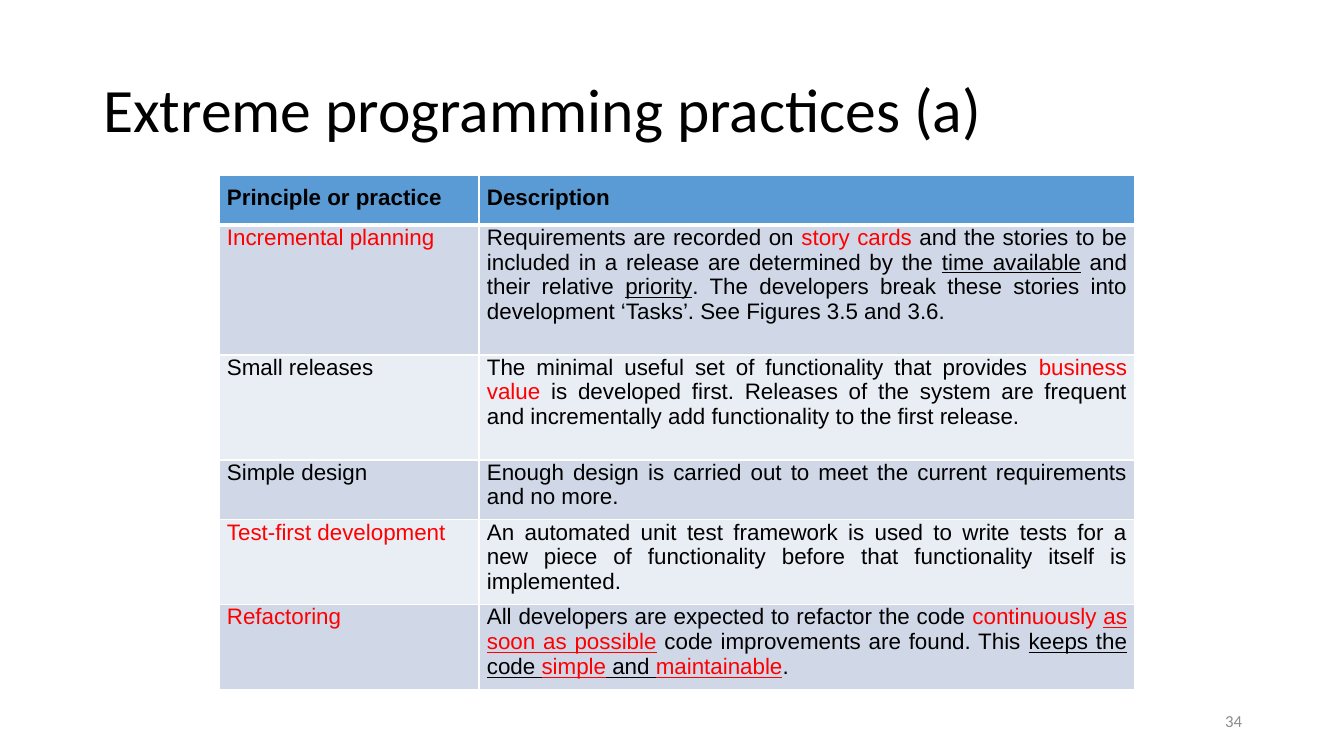
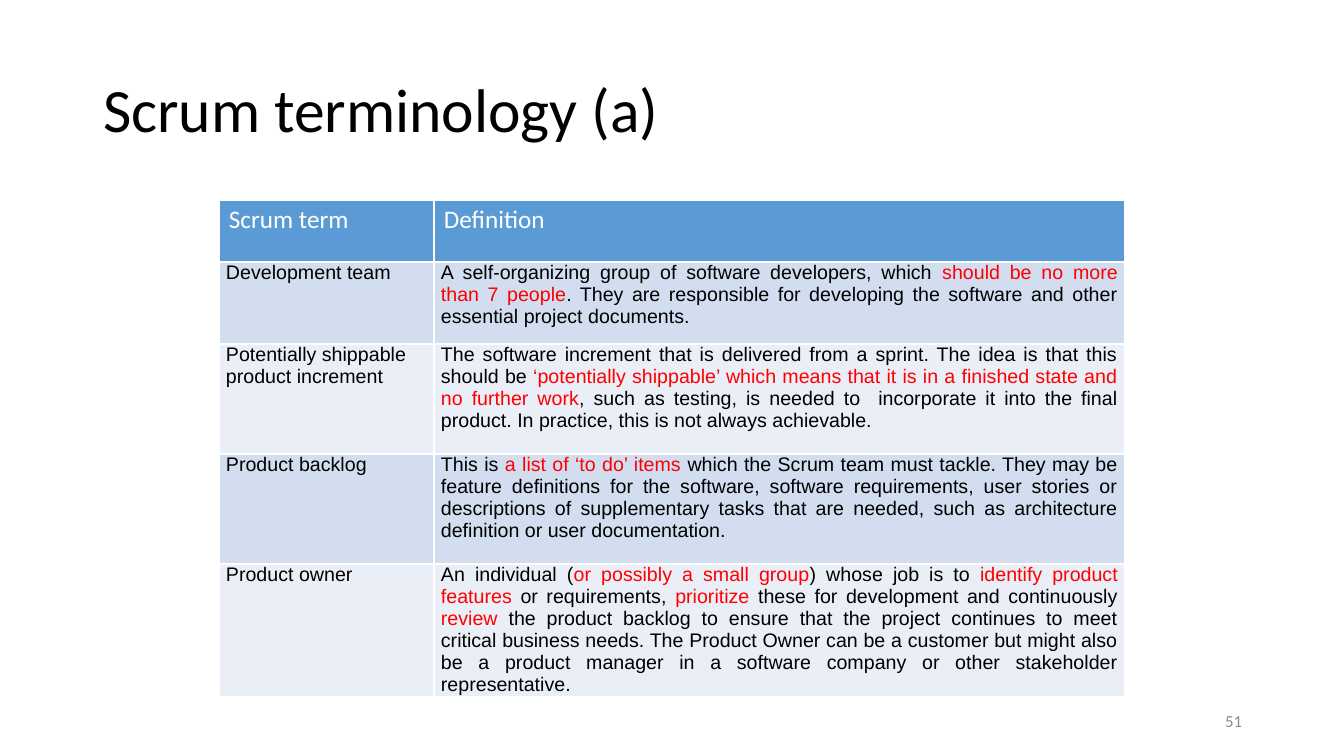
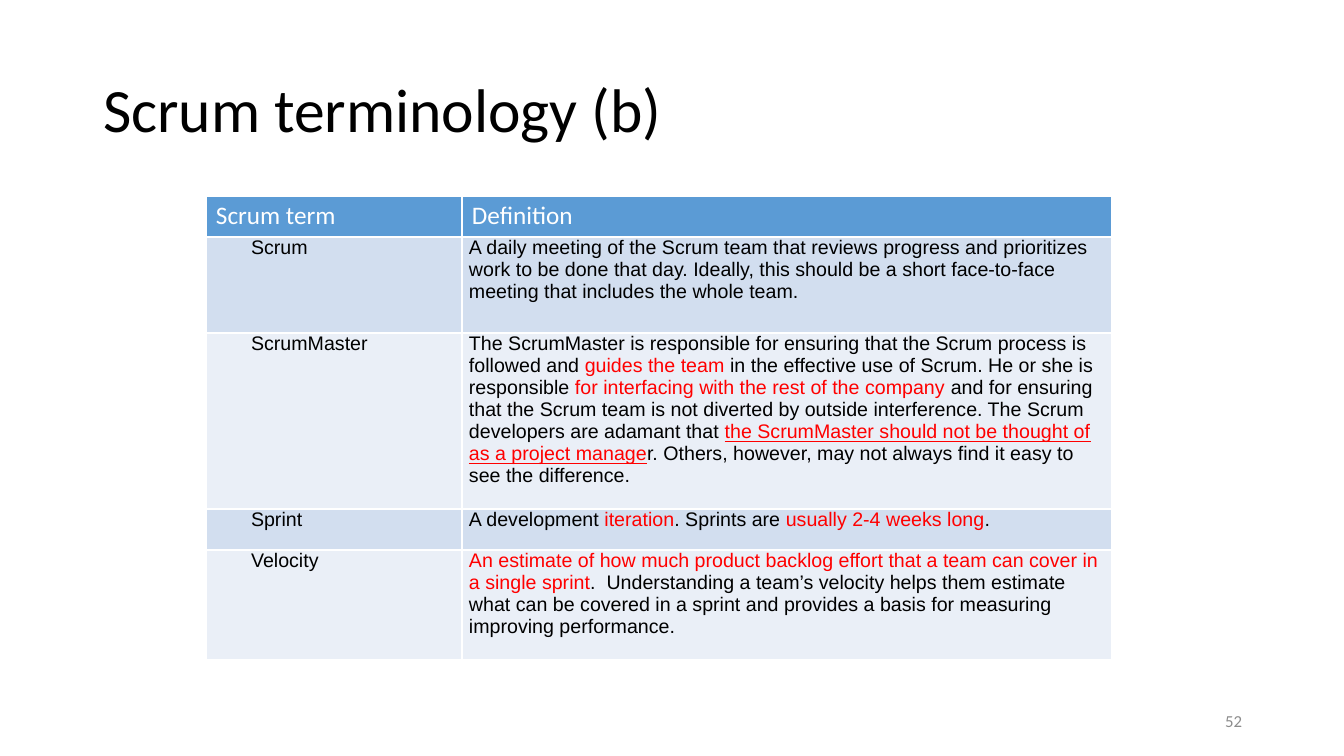
"""Build three slides of agile practice and Scrum terminology tables."""
from lxml.etree import SubElement
from pptx import Presentation
from pptx.dml.color import RGBColor
from pptx.enum.text import MSO_ANCHOR, MSO_AUTO_SIZE, PP_ALIGN
from pptx.oxml.ns import qn
from pptx.util import Pt

PX = 12192000 / 1344
BLACK = RGBColor(0x00, 0x00, 0x00)
WHITE = RGBColor(0xFF, 0xFF, 0xFF)
RED = RGBColor(0xFF, 0x00, 0x00)
GRAY = RGBColor(0x8C, 0x8C, 0x8C)
BLUE = RGBColor(0x5B, 0x9B, 0xD5)
COOL_BANDS = (RGBColor(0xD0, 0xD8, 0xE8), RGBColor(0xE9, 0xED, 0xF4))
BLUE_BANDS = (RGBColor(0xD2, 0xDE, 0xEF), RGBColor(0xEA, 0xEF, 0xF7))
LEFT, JUSTIFY = PP_ALIGN.LEFT, PP_ALIGN.JUSTIFY

PRACTICE_HEADER = dict(size=16, font="Arial", bold=True, align=JUSTIFY)
TERM_HEADER = dict(size=18, color=WHITE)

TABLES = [
    dict(
        title="Extreme programming practices (a)", number=34,
        left=219, top=175, columns=(260, 656), heights=(50, 130, 105, 60, 85, 85),
        header=PRACTICE_HEADER, header_margins=(8, 10), header_rule=3,
        size=16, margins=(8, 0), aligns=(JUSTIFY, JUSTIFY), indent=0, bands=COOL_BANDS,
        rows=[
            ("Principle or practice", "Description"),
            ("*Incremental planning*",
             "Requirements are recorded on *story cards* and the stories to be included in a release "
             "are determined by the _time available_ and their relative _priority_. The developers "
             "break these stories into development ‘Tasks’. See Figures 3.5 and 3.6."),
            ("Small releases",
             "The minimal useful set of functionality that provides *business value* is developed "
             "first. Releases of the system are frequent and incrementally add functionality to the "
             "first release."),
            ("Simple design",
             "Enough design is carried out to meet the current requirements and no more."),
            ("*Test-first development*",
             "An automated unit test framework is used to write tests for a new piece of "
             "functionality before that functionality itself is implemented."),
            ("*Refactoring*",
             "All developers are expected to refactor the code *continuously _as soon as possible_* "
             "code improvements are found. This _keeps the code *simple* and *maintainable*_."),
        ],
    ),
    dict(
        title="Scrum terminology (a)", number=51,
        left=219, top=200, columns=(215, 691), heights=(62, 82, 110, 110, 133),
        header=TERM_HEADER, header_margins=(10, 5), header_rule=1,
        size=14, margins=(7, 0), aligns=(LEFT, JUSTIFY), indent=0, bands=BLUE_BANDS,
        rows=[
            ("Scrum term", "Definition"),
            ("Development team",
             "A self-organizing group of software developers, which *should be no more than 7 "
             "people*. They are responsible for developing the software and other essential project "
             "documents."),
            ("Potentially shippable product increment",
             "The software increment that is delivered from a sprint. The idea is that this should "
             "be *‘potentially shippable’ which means that it is in a finished state and no further "
             "work*, such as testing, is needed to  incorporate it into the final product. In "
             "practice, this is not always achievable."),
            ("Product backlog",
             "This is *a list of ‘to do’ items *which the Scrum team must tackle. They may be feature "
             "definitions for the software, software requirements, user stories or descriptions of "
             "supplementary tasks that are needed, such as architecture definition or user "
             "documentation."),
            ("Product owner",
             "An individual (*or possibly a small group*) whose job is to *identify product "
             "features* or requirements, *prioritize* these for development and continuously "
             "*review* the product backlog to ensure that the project continues to meet critical "
             "business needs. The Product Owner can be a customer but might also be a product "
             "manager in a software company or other stakeholder representative."),
        ],
    ),
    dict(
        title="Scrum terminology (b)", number=52,
        left=206, top=196, columns=(256, 650), heights=(41, 96, 176, 41, 110),
        header=TERM_HEADER, header_margins=(10, 5), header_rule=1,
        size=14, margins=(7, 0), aligns=(LEFT, LEFT), indent=38, bands=BLUE_BANDS,
        rows=[
            ("Scrum term", "Definition"),
            ("Scrum",
             "A daily meeting of the Scrum team that reviews progress and prioritizes work to be "
             "done that day. Ideally, this should be a short face-to-face meeting that includes the "
             "whole team."),
            ("ScrumMaster",
             "The ScrumMaster is responsible for ensuring that the Scrum process is followed and "
             "*guides the team *in the effective use of Scrum. He or she is responsible *for "
             "interfacing with the rest of the company *and for ensuring that the Scrum team is not "
             "diverted by outside interference. The Scrum developers are adamant that *_the "
             "ScrumMaster should not be thought of as a project manage_*r. Others, however, may not "
             "always find it easy to see the difference."),
            ("Sprint", "A development *iteration*. Sprints are *usually 2-4 weeks long*."),
            ("Velocity",
             "*An estimate of how much product backlog effort that a team can cover in a single "
             "sprint*.  Understanding a team’s velocity helps them estimate what can be covered in a "
             "sprint and provides a basis for measuring improving performance."),
        ],
    ),
]


def px(length):
    """Turn pixels into EMU."""
    return round(length * PX)


def write(frame, text, size=14, font="Calibri", color=BLACK, bold=False, align=LEFT,
          spacing=1.0, indent=0):
    """Write one paragraph; asterisks enclose red text and underscores underlined text."""
    para = frame.paragraphs[0]
    para.alignment = align
    para.line_spacing = spacing
    if indent:
        para._p.get_or_add_pPr().set("indent", str(px(indent)))
    underline = False
    for color_index, passage in enumerate(text.split("*")):
        for line_index, piece in enumerate(passage.split("_")):
            if line_index:
                underline = not underline
            if piece:
                span = para.add_run()
                span.text = piece
                span.font.size = Pt(size)
                span.font.name = font
                span.font.bold = bold
                span.font.underline = underline
                span.font.color.rgb = RED if color_index % 2 else color


deck = Presentation()
deck.slide_width, deck.slide_height = px(1344), px(756)

for topic in TABLES:
    page = deck.slides.add_slide(deck.slide_layouts[5])
    title = page.shapes.title
    title.left, title.top, title.width, title.height = px(93), px(40), px(1159), px(146)
    title.text_frame.auto_size = MSO_AUTO_SIZE.NONE
    title.text_frame.vertical_anchor = MSO_ANCHOR.MIDDLE
    write(title.text_frame, topic["title"], size=44, spacing=0.9)

    table = page.shapes.add_table(
        len(topic["rows"]), 2, px(topic["left"]), px(topic["top"]),
        px(sum(topic["columns"])), px(sum(topic["heights"]))).table
    table.horz_banding = False
    for column, width in zip(table.columns, topic["columns"]):
        column.width = px(width)

    for row_index, texts in enumerate(topic["rows"]):
        table.rows[row_index].height = px(topic["heights"][row_index])
        for column_index, text in enumerate(texts):
            cell = table.cell(row_index, column_index)
            if row_index == 0:
                fill, style = BLUE, topic["header"]
                side, above = topic["header_margins"]
                below = above
            else:
                fill = topic["bands"][(row_index - 1) % 2]
                style = dict(size=topic["size"], font="Arial",
                             align=topic["aligns"][column_index],
                             indent=0 if column_index else topic["indent"])
                side, above = topic["margins"]
                below = above
            cell.margin_left = cell.margin_right = px(side)
            cell.margin_top, cell.margin_bottom = px(above), px(below)
            write(cell.text_frame, text, **style)

            properties = cell._tc.get_or_add_tcPr()
            rules = dict(lnL=1, lnR=1,
                         lnT=topic["header_rule"] if row_index == 1 else 1,
                         lnB=topic["header_rule"] if row_index == 0 else 1)
            for edge, weight in rules.items():
                line = SubElement(properties, qn(f"a:{edge}"), w=str(Pt(weight)))
                paint = SubElement(line, qn("a:solidFill"))
                SubElement(paint, qn("a:srgbClr"), val=str(WHITE))
            cell.fill.solid()
            cell.fill.fore_color.rgb = fill

    box = page.shapes.add_textbox(px(950), px(701), px(302), px(40))
    box.text_frame.word_wrap = True
    box.text_frame.vertical_anchor = MSO_ANCHOR.MIDDLE
    write(box.text_frame, str(topic["number"]), size=12, color=GRAY, align=PP_ALIGN.RIGHT)

deck.save("out.pptx")
